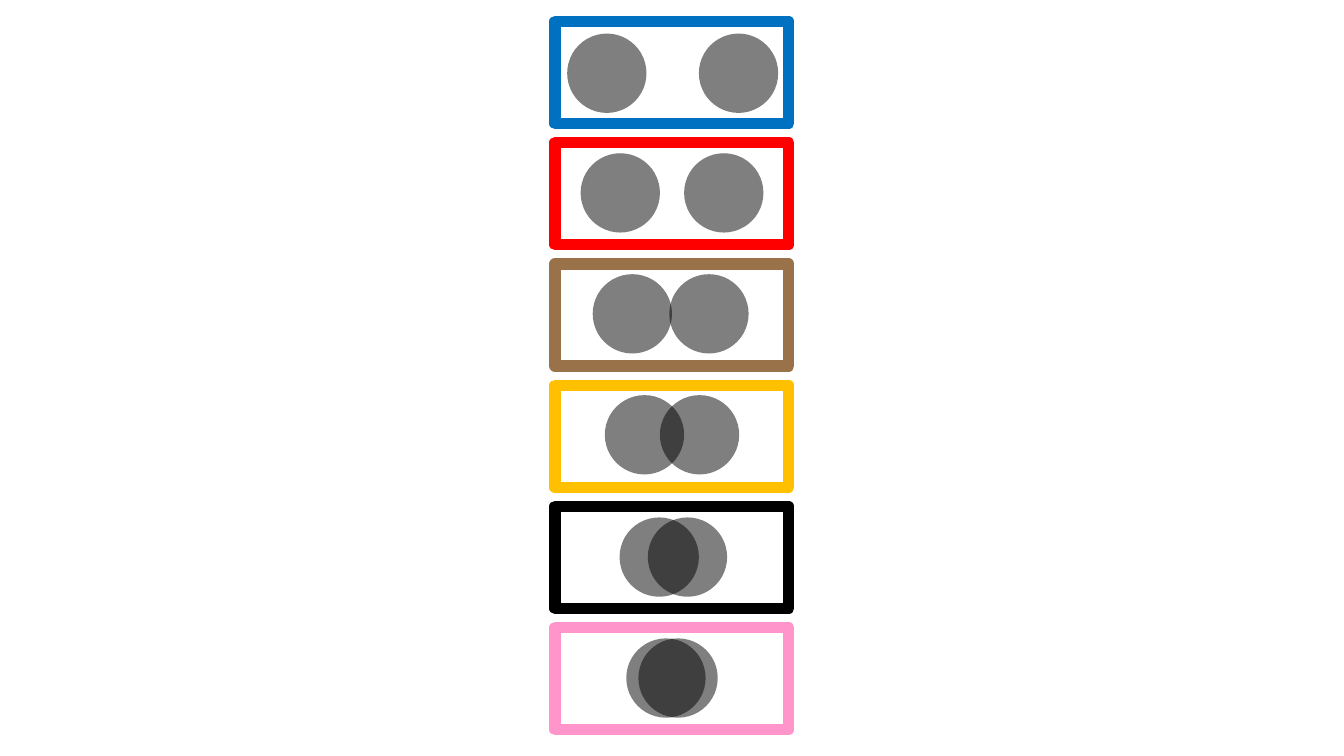
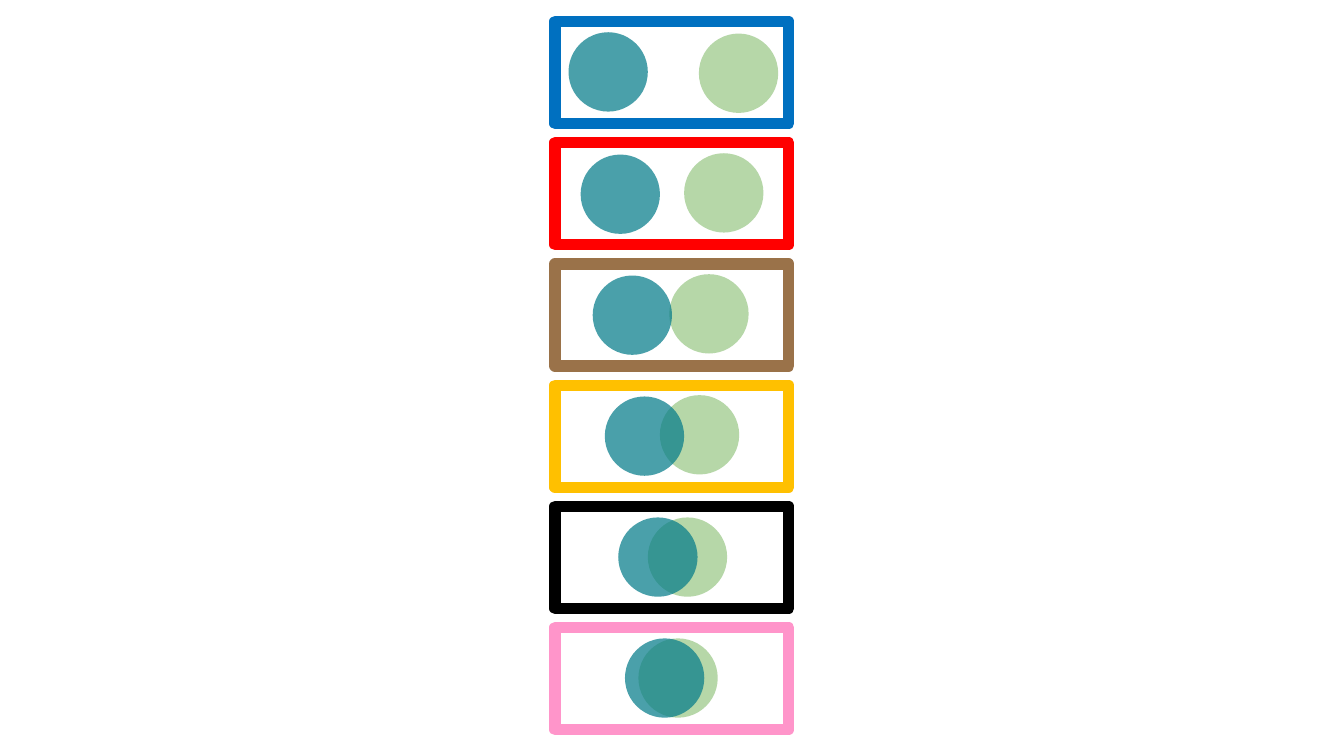
from typing import NamedTuple

from lxml import etree
from pptx import Presentation
from pptx import util as u
from pptx.dml import color
from pptx.enum import shapes
from pptx.oxml import ns

COLORS = {
    "white": "FFFFFF",
    "blue": "0070C0",
    "red": "FF0000",
    "brown": "9A7249",
    "yellow": "FFC000",
    "black": "000000",
    "pink": "FF95CA",
    "green": "B6D7A8",
    "teal": "057C8A",
}

# Grid, in inches; the slide is 16:9
SLIDE_W = 10
SLIDE_H = SLIDE_W * 9 / 16
FRAME_LEFT, FRAME_W, FRAME_H = 4.13, 1.74, 0.76
FIRST_FRAME_TOP, LAST_FRAME_TOP = 0.16, 4.67
DISC_SIZE = 0.59
BORDER_PT = 6


class Spot(NamedTuple):
    """Top left corner of a disc."""
    left: float
    top: float


class Stage(NamedTuple):
    """One frame and the place of its right disc."""
    border: str
    right_disc: Spot


class DiscStyle(NamedTuple):
    fill: str
    opacity: int


class Pairing(NamedTuple):
    """The disc styles of one slide and the places of its left discs."""
    left: DiscStyle
    right: DiscStyle
    left_discs: list[Spot]


STAGES = [
    Stage("blue", Spot(5.2, 0.25)),
    Stage("red", Spot(5.09, 1.14)),
    Stage("brown", Spot(4.98, 2.04)),
    Stage("yellow", Spot(4.91, 2.94)),
    Stage("black", Spot(4.82, 3.85)),
    Stage("pink", Spot(4.75, 4.75)),
]
FRAME_STEP = (LAST_FRAME_TOP - FIRST_FRAME_TOP) / (len(STAGES) - 1)

SHADE = DiscStyle("black", 50)
PAIRINGS = [
    Pairing(SHADE, SHADE,
            [Spot(4.22, 0.25), Spot(4.32, 1.14), Spot(4.41, 2.04),
             Spot(4.5, 2.94), Spot(4.61, 3.85), Spot(4.66, 4.75)]),
    Pairing(DiscStyle("teal", 72), DiscStyle("green", 100),
            [Spot(4.23, 0.24), Spot(4.32, 1.15), Spot(4.41, 2.05),
             Spot(4.5, 2.95), Spot(4.6, 3.85), Spot(4.65, 4.75)]),
]


def rgb(name: str) -> color.RGBColor:
    return color.RGBColor.from_string(COLORS[name])


def add_filled(slide, preset, left: float, top: float,
               width: float, height: float, fill: str):
    shape = slide.shapes.add_shape(preset, u.Inches(left), u.Inches(top),
                                   u.Inches(width), u.Inches(height))
    shape.shadow.inherit = False
    shape.fill.solid()
    shape.fill.fore_color.rgb = rgb(fill)
    shape.line.fill.background()
    return shape


def add_frame(slide, top: float, border: str) -> None:
    frame = add_filled(slide, shapes.MSO_SHAPE.RECTANGLE, FRAME_LEFT, top,
                       FRAME_W, FRAME_H, "white")
    frame.line.color.rgb = rgb(border)
    frame.line.width = u.Pt(BORDER_PT)
    # Rounded outer corners
    outline = frame.element.spPr.find(ns.qn("a:ln"))
    etree.SubElement(outline, ns.qn("a:round"))


def add_disc(slide, spot: Spot, style: DiscStyle) -> None:
    disc = add_filled(slide, shapes.MSO_SHAPE.OVAL, spot.left, spot.top,
                      DISC_SIZE, DISC_SIZE, style.fill)
    if style.opacity < 100:
        fill_color = disc.element.spPr.find(
            f"{ns.qn('a:solidFill')}/{ns.qn('a:srgbClr')}")
        alpha = etree.SubElement(fill_color, ns.qn("a:alpha"))
        alpha.set("val", str(style.opacity * 1000))


def add_stages(slide, pairing: Pairing) -> None:
    for row, (stage, left_disc) in enumerate(zip(STAGES, pairing.left_discs)):
        add_frame(slide, FIRST_FRAME_TOP + row * FRAME_STEP, stage.border)
        # The left disc lies over the right one
        add_disc(slide, stage.right_disc, pairing.right)
        add_disc(slide, left_disc, pairing.left)


def main() -> None:
    deck = Presentation()
    deck.slide_width = u.Inches(SLIDE_W)
    deck.slide_height = u.Inches(SLIDE_H)
    blank = deck.slide_layouts[6]
    for pairing in PAIRINGS:
        add_stages(deck.slides.add_slide(blank), pairing)
    deck.save("out.pptx")


if __name__ == "__main__":
    main()
